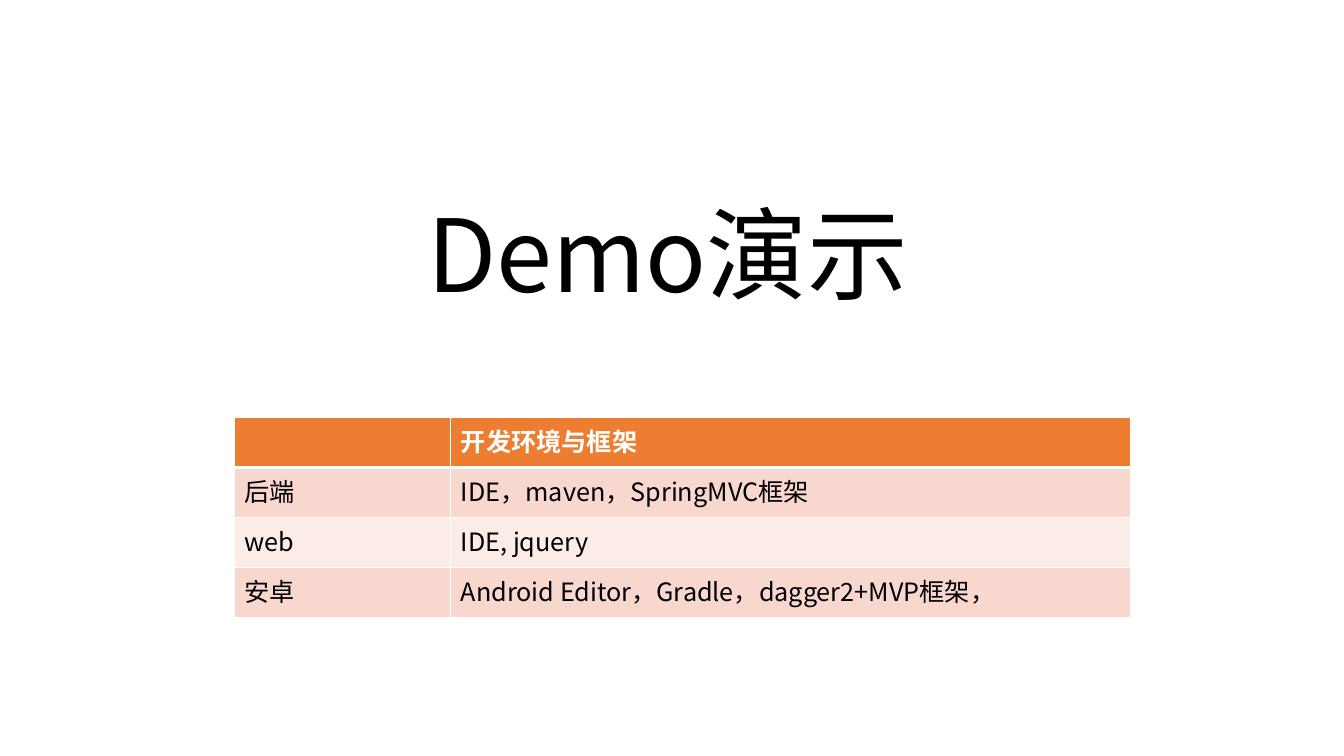
from lxml import etree
from pptx import Presentation
from pptx.dml.color import RGBColor
from pptx.enum.text import MSO_ANCHOR, PP_ALIGN
from pptx.oxml.ns import qn
from pptx.util import Cm, Pt

BOTTOM, CENTER = MSO_ANCHOR.BOTTOM, PP_ALIGN.CENTER

# Content
TITLE = "Demo演示"
ROWS = [
    ("", "开发环境与框架"),
    ("后端", "IDE，maven，SpringMVC框架"),
    ("web", "IDE, jquery"),
    ("安卓", "Android Editor，Gradle，dagger2+MVP框架，"),
]

# Style and layout
FONT = "Noto Sans CJK SC"
COLORS = {"text": "000000", "white": "FFFFFF", "header": "ED7D31",
          "odd": "F8D7CE", "even": "FCECE8"}
LEFT = 5.9
COL_WIDTHS = (5.46, 17.12)
ROW_HEIGHT = 1.26


def rgb(name):
    return RGBColor.from_string(COLORS[name])


def style(p, size, color, bold=False):
    p.font.size, p.font.bold, p.font.name = Pt(size), bold, FONT
    p.font.color.rgb = rgb(color)
    for r in p.runs:
        r.font.name = FONT
        ea = etree.SubElement(r.font._element, qn("a:ea"))
        ea.set("typeface", FONT)


def set_borders(cell, widths):
    tcPr = cell._tc.get_or_add_tcPr()
    for i, (side, width) in enumerate(widths.items()):
        ln = etree.Element(qn("a:ln" + side), w=str(Pt(width)))
        fill = etree.SubElement(ln, qn("a:solidFill"))
        etree.SubElement(fill, qn("a:srgbClr"), val=COLORS["white"])
        tcPr.insert(i, ln)


prs = Presentation()
prs.slide_width, prs.slide_height = Cm(33.87), Cm(19.05)
s = prs.slides.add_slide(prs.slide_layouts[6])

# Title
tf = s.shapes.add_textbox(Cm(LEFT), Cm(1.42), Cm(21.87), Cm(6.63)).text_frame
tf.word_wrap = True
tf.vertical_anchor = BOTTOM
p = tf.paragraphs[0]
p.text = TITLE
p.alignment = CENTER
p.line_spacing = 0.9
style(p, 72, "text")

# Table of tools
table = s.shapes.add_table(len(ROWS), len(COL_WIDTHS), Cm(LEFT), Cm(10.52),
                           Cm(sum(COL_WIDTHS)), Cm(ROW_HEIGHT * len(ROWS))).table
for column, width in zip(table.columns, COL_WIDTHS):
    column.width = Cm(width)
for i, texts in enumerate(ROWS):
    table.rows[i].height = Cm(ROW_HEIGHT)
    header = i == 0
    fill = "header" if header else "odd" if i % 2 else "even"
    for j, text in enumerate(texts):
        cell = table.cell(i, j)
        cell.fill.solid()
        cell.fill.fore_color.rgb = rgb(fill)
        set_borders(cell, {"L": 1, "R": 1, "T": 3 if i == 1 else 1,
                           "B": 3 if header else 1})
        p = cell.text_frame.paragraphs[0]
        p.text = text
        style(p, 18, "white" if header else "text", header)

prs.save("out.pptx")
